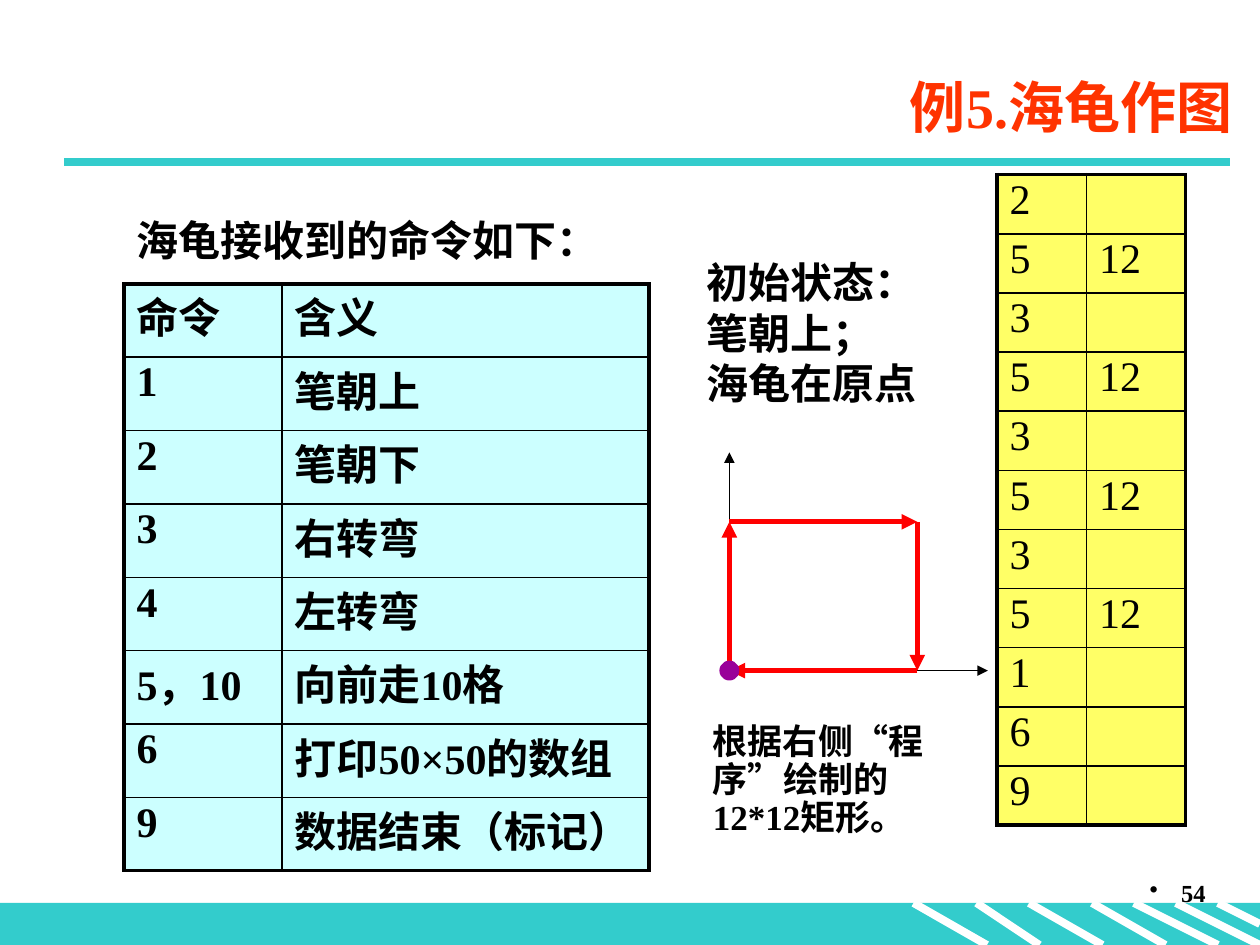
from lxml import etree
from pptx import Presentation
from pptx.dml.color import RGBColor
from pptx.enum.shapes import MSO_CONNECTOR, MSO_SHAPE
from pptx.enum.text import MSO_ANCHOR, PP_ALIGN
from pptx.oxml.ns import qn
from pptx.util import Pt

LINE = MSO_CONNECTOR.STRAIGHT
RECT, OVAL = MSO_SHAPE.RECTANGLE, MSO_SHAPE.OVAL
RIGHT, MIDDLE = PP_ALIGN.RIGHT, MSO_ANCHOR.MIDDLE
LATIN, HAN = "Times New Roman", "Noto Sans CJK SC"

BLACK = RGBColor(0x00, 0x00, 0x00)
WHITE = RGBColor(0xFF, 0xFF, 0xFF)
TEAL = RGBColor(0x33, 0xCC, 0xCC)
ORANGE = RGBColor(0xFF, 0x33, 0x00)
RED = RGBColor(0xFF, 0x00, 0x00)
PURPLE = RGBColor(0x99, 0x00, 0x99)
AQUA = RGBColor(0xCC, 0xFF, 0xFF)
YELLOW = RGBColor(0xFF, 0xFF, 0x66)

TITLE = "例5.海龟作图"
INTRO = "海龟接收到的命令如下："
STATE = ["初始状态：", "笔朝上；", "海龟在原点"]
NOTE = [("根据右侧", LATIN), ("“", HAN), ("程序", LATIN), ("”", HAN),
        ("绘制的12*12矩形。", LATIN)]
NUMBER = "54"
ORDERS = [("命令", "含义"), ("1", "笔朝上"), ("2", "笔朝下"), ("3", "右转弯"),
          ("4", "左转弯"), ("5，10", "向前走10格"), ("6", "打印50×50的数组"),
          ("9", "数据结束（标记）")]
STEPS = [("2", ""), *[("5", "12"), ("3", "")] * 3, ("5", "12"),
         ("1", ""), ("6", ""), ("9", "")]

# Footer stripes: top x, bottom x, bottom y
STRIPES = [(522, 564, 540), (558, 594, 540), (588, 630, 540), (624, 666, 540),
           (648, 696, 540), (672, 720, 540), (696, 720, 528)]
BAND = 516
X0, X1, Y0, Y1 = 416.8, 524.2, 383.2, 298.2  # turtle's rectangle
AXES = [(X0, Y0, X0, 258.5), (X0, Y0, 564.5, Y0)]
TRACK = [(X0, Y1), (X1, Y1), (X1, Y0), (X0, Y0), (X0, Y1)]


def add_run(para, text, size, color=BLACK, bold=True, face=LATIN):
    run = para.add_run()
    run.text = text
    font = run.font
    font.size, font.bold, font.name = Pt(size), bold, face
    font.color.rgb = color
    ea = etree.SubElement(run._r.get_or_add_rPr(), qn("a:ea"))
    ea.set("typeface", HAN)


def add_box(left, top, width, height):
    frame = slide.shapes.add_textbox(
        Pt(left), Pt(top), Pt(width), Pt(height)).text_frame
    frame.word_wrap = True
    return frame


def add_line(x1, y1, x2, y2, color, width, arrow=False):
    line = slide.shapes.add_connector(LINE, Pt(x1), Pt(y1), Pt(x2), Pt(y2))
    line.line.color.rgb = color
    line.line.width = Pt(width)
    props = line._element.spPr
    if arrow:
        tail = etree.SubElement(props.find(qn("a:ln")), qn("a:tailEnd"))
        tail.set("type", "triangle")
    etree.SubElement(props, qn("a:effectLst"))


def add_shape(kind, left, top, width, height, color):
    shape = slide.shapes.add_shape(
        kind, Pt(left), Pt(top), Pt(width), Pt(height))
    shape.shadow.inherit = False
    shape.fill.solid()
    shape.fill.fore_color.rgb = color
    shape.line.fill.background()


def add_edge(cell, side, width):
    edge = etree.SubElement(cell._tc.get_or_add_tcPr(), qn("a:ln" + side))
    edge.set("w", str(Pt(width)))
    fill = etree.SubElement(edge, qn("a:solidFill"))
    etree.SubElement(fill, qn("a:srgbClr")).set("val", str(BLACK))


def add_grid(rows, left, top, widths, height, color, bold, gap):
    """Table with thin inner and thick outer borders; gap is space above text."""
    last, end = len(rows) - 1, len(widths) - 1
    table = slide.shapes.add_table(
        len(rows), len(widths), Pt(left), Pt(top),
        Pt(sum(widths)), Pt(height * len(rows))).table
    table.first_row = table.horz_banding = False
    for col, width in zip(table.columns, widths):
        col.width = Pt(width)
    for r, texts in enumerate(rows):
        table.rows[r].height = Pt(height)
        for c, text in enumerate(texts):
            cell = table.cell(r, c)
            outer = {"L": c == 0, "R": c == end, "T": r == 0, "B": r == last}
            for side, thick in outer.items():
                add_edge(cell, side, 2.25 if thick else 1)
            cell.fill.solid()
            cell.fill.fore_color.rgb = color
            para = cell.text_frame.paragraphs[0]
            para.line_spacing, para.space_before = 0.9, Pt(gap)
            if text:
                add_run(para, text, 24, bold=bold)


deck = Presentation()
deck.slide_width, deck.slide_height = Pt(720), Pt(540)
slide = deck.slides.add_slide(deck.slide_layouts[5])

# Frame: footer band, stripes, rule, title and page number
add_shape(RECT, 0, BAND, 720, 540 - BAND, TEAL)
for x1, x2, y2 in STRIPES:
    add_line(x1, BAND, x2, y2, WHITE, 4.5)
add_line(36.7, 92.7, 702.7, 92.7, TEAL, 4.5)

title = slide.shapes.title
title.left, title.top, title.width, title.height = map(Pt, (99.4, 32, 612, 57))
title.text_frame.vertical_anchor = MIDDLE
para = title.text_frame.paragraphs[0]
para.alignment = RIGHT
add_run(para, TITLE, 32, ORANGE)

para = add_box(546, 498, 150, 36).paragraphs[0]
para.alignment = RIGHT
props = para._p.get_or_add_pPr()
props.set("marL", str(Pt(18)))
props.set("indent", str(Pt(-18)))
etree.SubElement(props, qn("a:buChar")).set("char", "•")
add_run(para, NUMBER, 14)

# Commands and program
add_grid(ORDERS, 70.8, 162.2, (90.4, 209.6), 41.95, AQUA, True, 3)
add_grid(STEPS, 569.8, 99.8, (51.1, 56.6), 33.8, YELLOW, False, 1.5)

# Drawing of the turtle's walk
for axis in AXES:
    add_line(*axis, BLACK, 0.75, True)
for start, stop in zip(TRACK, TRACK[1:]):
    add_line(*start, *stop, RED, 3, True)
add_shape(OVAL, X0 - 5.7, Y0 - 5.7, 11.4, 11.4, PURPLE)

# Captions
para = add_box(70.8, 122.4, 280, 34).paragraphs[0]
para.line_spacing = 0.9
add_run(para, INTRO, 24)

frame = add_box(396.7, 154.8, 147.6, 89.3)
for i, text in enumerate(STATE):
    para = frame.add_paragraph() if i else frame.paragraphs[0]
    para.line_spacing, para.space_before = Pt(17), Pt(12)
    add_run(para, text, 24)

para = add_box(400.3, 409.7, 153.4, 72).paragraphs[0]
para.line_spacing = Pt(21.7)
for text, face in NOTE:
    add_run(para, text, 20, face=face)

deck.save("out.pptx")
